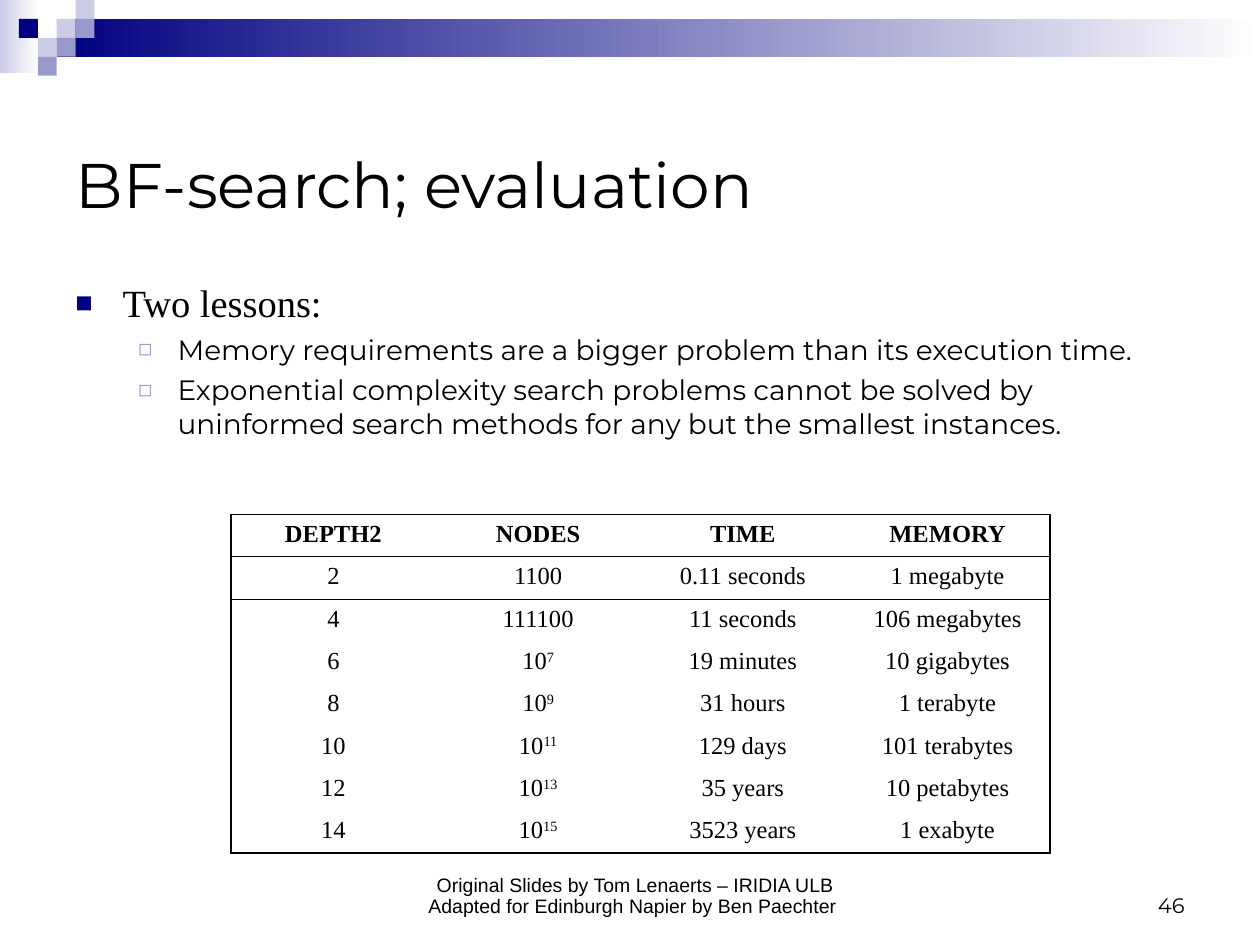
from dataclasses import dataclass
from typing import Any

from lxml.etree import SubElement
from pptx import Presentation
from pptx.dml.color import RGBColor
from pptx.enum.shapes import MSO_SHAPE
from pptx.enum.text import MSO_ANCHOR, PP_ALIGN
from pptx.oxml.ns import qn
from pptx.util import Pt

COLORS = {"navy": "000080", "mid": "9999CC", "pale": "CCCCE6", "white": "FFFFFF", "black": "000000"}
SERIF = "Times New Roman"
FORMATS = {
    "title": {"name": "Montserrat", "size": Pt(36)},
    "lead": {"name": SERIF, "size": Pt(22)},
    "point": {"name": "Montserrat", "size": Pt(16)},
    "credit": {"name": "Arial", "size": Pt(11.1)},
    "number": {"name": "Montserrat", "size": Pt(12)},
    "head": {"name": SERIF, "size": Pt(14), "bold": True},
    "cell": {"name": SERIF, "size": Pt(14), "bold": False},
}
UNIT = 10.8
NO_STYLE = "{2D5ABB26-0587-4C30-8999-92F81FD0307C}"


@dataclass
class Square:
    col: int
    row: int
    color: str


@dataclass
class Bar:
    left: float
    top: float
    width: float
    height: float
    color: str


@dataclass
class Bullet:
    mark: str
    color: str
    scale: int
    margin: float
    hang: float


@dataclass
class Line:
    text: str
    style: str
    level: int = 0
    before: float = 0


BARS = [Bar(0, 0, 22.3, 41.8, "pale"), Bar(32.4, UNIT, 687.6, 21.6, "navy")]
SQUARES = [
    Square(3, 1, "pale"), Square(4, 0, "pale"), Square(4, 1, "mid"), Square(2, 2, "pale"),
    Square(1, 1, "navy"), Square(3, 2, "mid"), Square(2, 3, "mid"),
]
BULLETS = [Bullet("■", "navy", 75, 27, 27), Bullet("◻", "mid", 80, 58.5, 22.5)]
LESSONS = [
    Line("Two lessons:", "lead"),
    Line("Memory requirements are a bigger problem than its execution time.", "point", 1, 4),
    Line("Exponential complexity search problems cannot be solved by uninformed "
         "search methods for any but the smallest instances.", "point", 1, 4),
]
CREDITS = [
    Line("Original Slides by Tom Lenaerts – IRIDIA ULB", "credit"),
    Line("Adapted for Edinburgh Napier by Ben Paechter ", "credit"),
]
ROWS = [
    ("DEPTH2", "NODES", "TIME", "MEMORY"),
    ("2", "1100", "0.11 seconds", "1 megabyte"),
    ("4", "111100", "11 seconds", "106 megabytes"),
    ("6", "10^7", "19 minutes", "10 gigabytes"),
    ("8", "10^9", "31 hours", "1 terabyte"),
    ("10", "10^11", "129 days", "101 terabytes"),
    ("12", "10^13", "35 years", "10 petabytes"),
    ("14", "10^15", "3523 years", "1 exabyte"),
]


def rgb(color: str) -> RGBColor:
    return RGBColor.from_string(COLORS[color])


def style(font: Any, name: str) -> None:
    for key, value in FORMATS[name].items():
        setattr(font, key, value)
    font.color.rgb = rgb("black")


def block(slide: Any, left: float, top: float, width: float, height: float) -> Any:
    shape = slide.shapes.add_shape(MSO_SHAPE.RECTANGLE, Pt(left), Pt(top), Pt(width), Pt(height))
    shape.shadow.inherit = False
    shape.line.fill.background()
    return shape


def draw_bar(slide: Any, bar: Bar) -> None:
    fill = block(slide, bar.left, bar.top, bar.width, bar.height).fill
    fill.gradient()
    fill.gradient_angle = 0
    for stop, color, place in zip(fill.gradient_stops, (bar.color, "white"), (0, 1)):
        stop.color.rgb = rgb(color)
        stop.position = place


def draw_square(slide: Any, square: Square) -> None:
    shape = block(slide, square.col * UNIT, square.row * UNIT, UNIT, UNIT)
    shape.fill.solid()
    shape.fill.fore_color.rgb = rgb(square.color)


def add_bullet(para: Any, bullet: Bullet) -> None:
    props = para._p.get_or_add_pPr()
    props.set("marL", str(Pt(bullet.margin)))
    props.set("indent", str(-Pt(bullet.hang)))
    SubElement(SubElement(props, qn("a:buClr")), qn("a:srgbClr"), val=COLORS[bullet.color])
    SubElement(props, qn("a:buSzPct"), val=str(bullet.scale * 1000))
    SubElement(props, qn("a:buFont"), typeface="Arial")
    SubElement(props, qn("a:buChar"), char=bullet.mark)


def draw_text(slide: Any, box: tuple, lines: list[Line], align: Any = PP_ALIGN.LEFT,
              anchor: Any = MSO_ANCHOR.TOP, space: float = 1, marks: bool = False) -> None:
    frame = slide.shapes.add_textbox(*map(Pt, box)).text_frame
    frame.word_wrap = True
    frame.vertical_anchor = anchor
    for index, line in enumerate(lines):
        para = frame.add_paragraph() if index else frame.paragraphs[0]
        if marks:
            add_bullet(para, BULLETS[line.level])
        for key, value in {"level": line.level, "alignment": align, "line_spacing": space,
                           "space_before": Pt(line.before)}.items():
            setattr(para, key, value)
        run = para.add_run()
        run.text = line.text
        style(run.font, line.style)


def add_edges(cell: Any, edges: dict[str, float]) -> None:
    props = cell._tc.get_or_add_tcPr()
    for side, width in edges.items():
        line = SubElement(props, qn(f"a:ln{side}"), w=str(Pt(width)))
        fill = SubElement(line, qn("a:solidFill"))
        SubElement(fill, qn("a:srgbClr"), val=COLORS["black"])


def fill_cell(cell: Any, text: str, name: str, edges: dict[str, float]) -> None:
    add_edges(cell, edges)
    cell.fill.background()
    para = cell.text_frame.paragraphs[0]
    para.alignment = PP_ALIGN.CENTER
    for index, part in enumerate(text.split("^")):
        run = para.add_run()
        run.text = part
        style(run.font, name)
        if index:
            run._r.get_or_add_rPr().set("baseline", "30000")


def draw_table(slide: Any) -> None:
    last, end = len(ROWS) - 1, len(ROWS[0]) - 1
    frame = slide.shapes.add_table(last + 1, end + 1, Pt(132), Pt(294), Pt(468), Pt(193.6))
    table = frame.table
    table.first_row = table.horz_banding = False
    for mark in frame._element.iter(qn("a:tableStyleId")):
        mark.text = NO_STYLE
    for row in table.rows:
        row.height = Pt(24.2)
    thick, thin = 1.08, 0.45
    for r, texts in enumerate(ROWS):
        for c, text in enumerate(texts):
            sides = {
                "L": thick if c == 0 else 0,
                "R": thick if c == end else 0,
                "T": {0: thick, 1: thin}.get(r, 0),
                "B": {0: thin, last: thick}.get(r, 0),
            }
            edges = {side: width for side, width in sides.items() if width}
            fill_cell(table.cell(r, c), text, "cell" if r else "head", edges)


def main() -> None:
    deck = Presentation()
    deck.slide_width, deck.slide_height = Pt(720), Pt(540)
    slide = deck.slides.add_slide(deck.slide_layouts[5])
    for bar in BARS:
        draw_bar(slide, bar)
    for square in SQUARES:
        draw_square(slide, square)
    draw_text(slide, (216, 492, 294, 36), CREDITS, PP_ALIGN.CENTER, MSO_ANCHOR.BOTTOM, 0.9)
    draw_text(slide, (516, 492, 168, 36), [Line("46", "number")], PP_ALIGN.RIGHT, MSO_ANCHOR.BOTTOM)
    title = slide.shapes.title
    for key, value in {"left": 36, "top": 60, "width": 648, "height": 90}.items():
        setattr(title, key, Pt(value))
    title.text_frame.text = "BF-search; evaluation"
    title.text_frame.vertical_anchor = MSO_ANCHOR.MIDDLE
    para = title.text_frame.paragraphs[0]
    para.alignment = PP_ALIGN.LEFT
    style(para.runs[0].font, "title")
    draw_text(slide, (36, 156, 648, 306), LESSONS, marks=True)
    draw_table(slide)
    deck.save("out.pptx")


if __name__ == "__main__":
    main()
